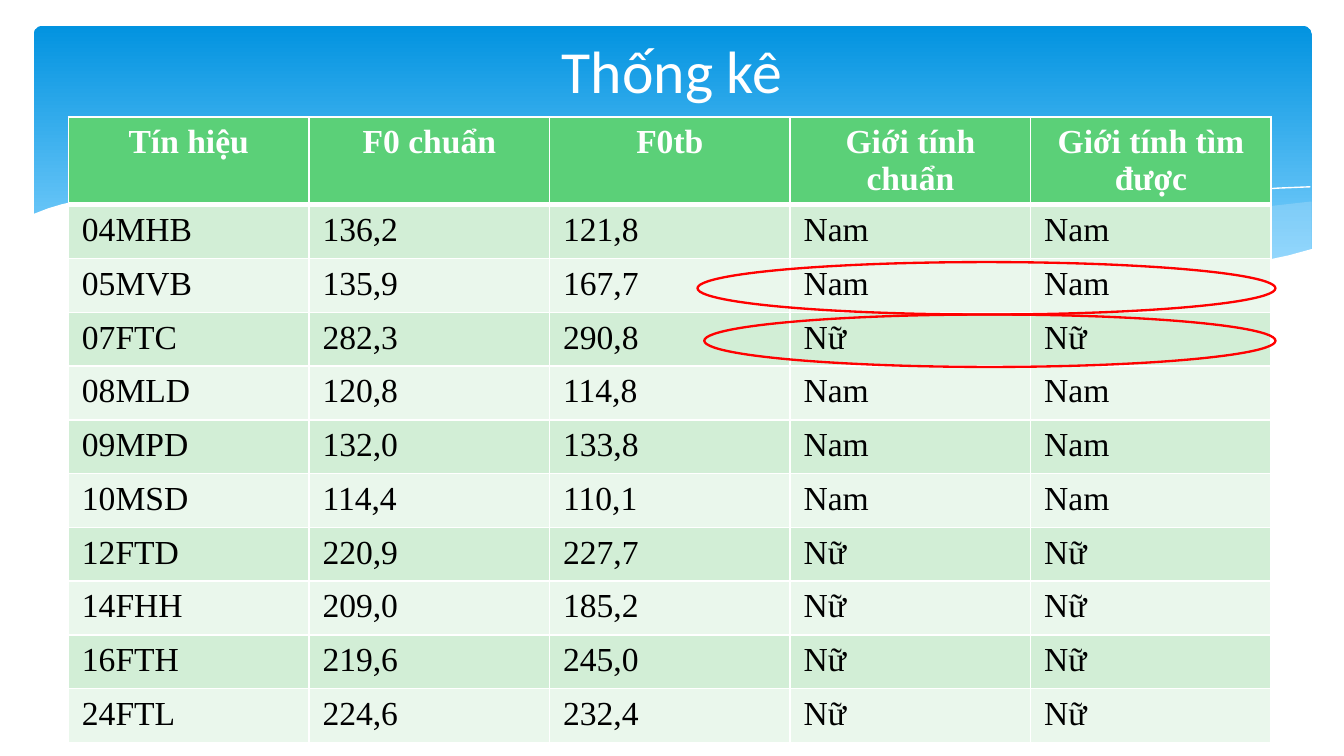
from lxml import etree
from pptx import Presentation
from pptx import util as u
from pptx.dml.color import RGBColor
from pptx.enum import shapes, text
from pptx.oxml import ns

COLORS = {
    "white": "FFFFFF", "black": "000000", "red": "FF0000",
    "sky_top": "0293E0", "sky_bottom": "83D3FE", "wave": "C6E7FC",
    "header": "5BD078", "odd": "D2EED6", "even": "EAF7EC",
}

# Wave outlines, in hundredths of an inch
RIGHT_WAVE = [
    (975, 150), (948, 153), (921, 157), (891, 162), (861, 167), (805, 177),
    (753, 186), (706, 193), (661, 199), (691, 202), (719, 204), (745, 206),
    (781, 208), (835, 208), (872, 206), (897, 203), (921, 199), (942, 194),
    (963, 189), (976, 185), (976, 150)]
LONG_WAVE = [
    (893, 204), (866, 202), (837, 199), (807, 195), (775, 191), (741, 186),
    (706, 180), (668, 173), (629, 166), (598, 161), (569, 156), (541, 152),
    (514, 148), (489, 146), (465, 143), (420, 140), (380, 139), (344, 139),
    (313, 141), (286, 144), (323, 147), (362, 152), (404, 158), (449, 166),
    (491, 174), (530, 180), (566, 186), (601, 191), (634, 196), (665, 200),
    (695, 203), (722, 205), (748, 207), (785, 208), (818, 209), (848, 208),
    (876, 206)]
LONG_LINE = [
    (309, 147), (328, 144), (353, 142), (387, 140), (433, 140), (469, 141),
    (510, 144), (556, 147), (608, 153), (665, 160), (727, 169), (795, 181),
    (869, 195), (907, 204)]
RIGHT_LINE = [
    (613, 192), (653, 185), (695, 177), (748, 167), (806, 158), (866, 149),
    (895, 145), (924, 142), (951, 140), (975, 139)]
LOWER_EDGE = [
    (977, 185), (959, 190), (940, 194), (920, 199), (899, 202), (875, 205),
    (850, 206), (823, 207), (793, 207), (761, 206), (726, 204), (688, 201),
    (648, 196), (603, 191), (555, 184), (503, 175), (447, 165), (391, 155),
    (340, 148), (292, 143), (250, 140), (211, 138), (177, 138), (146, 139),
    (119, 140), (95, 143), (76, 146), (59, 149), (46, 152), (36, 155),
    (23, 160), (23, 247), (977, 247)]

HEADINGS = ["Tín hiệu", "F0 chuẩn", "F0tb", "Giới tính chuẩn", "Giới tính tìm được"]
SIGNALS = [
    ("04MHB", "136,2", "121,8", "Nam"), ("05MVB", "135,9", "167,7", "Nam"),
    ("07FTC", "282,3", "290,8", "Nữ"), ("08MLD", "120,8", "114,8", "Nam"),
    ("09MPD", "132,0", "133,8", "Nam"), ("10MSD", "114,4", "110,1", "Nam"),
    ("12FTD", "220,9", "227,7", "Nữ"), ("14FHH", "209,0", "185,2", "Nữ"),
    ("16FTH", "219,6", "245,0", "Nữ"), ("24FTL", "224,6", "232,4", "Nữ"),
]


def rgb(name):
    """Return the named colour."""
    return RGBColor.from_string(COLORS[name])


class SlideBuilder:
    """Holds the style and the current slide."""

    def __init__(self, page):
        """Start drawing on the page."""
        self.page = page
        self.title_font, self.table_font = "Calibri", "Times New Roman"

    def style_font(self, para, name, size, color, bold=False):
        """Format all the text of a paragraph."""
        font = para.font
        font.name, font.size, font.bold = name, u.Pt(size), bold
        font.color.rgb = rgb(color)

    def banner(self, left, top, width, height):
        """Draw the rounded gradient banner."""
        box = self.page.shapes.add_shape(
            shapes.MSO_SHAPE.ROUNDED_RECTANGLE,
            u.Inches(left), u.Inches(top), u.Inches(width), u.Inches(height))
        box.adjustments[0] = 0.034
        box.shadow.inherit = False
        box.line.fill.background()
        box.fill.gradient()
        box.fill.gradient_angle = 270
        stops = box.fill.gradient_stops
        for stop, position, color in zip(stops, (0, 0.9), ("sky_top", "sky_bottom")):
            stop.position, stop.color.rgb = position, rgb(color)

    def wave(self, points, fill=None, opacity=100):
        """Draw a filled wave, or an open white line when there is no fill."""
        builder = self.page.shapes.build_freeform(*points[0], scale=u.Inches(0.01))
        builder.add_line_segments(points[1:], close=fill is not None)
        wave = builder.convert_to_shape()
        wave.shadow.inherit = False
        if fill is None:
            wave.fill.background()
            wave.line.color.rgb = rgb("white")
            wave.line.width = u.Pt(0)
            return
        wave.line.fill.background()
        wave.fill.solid()
        wave.fill.fore_color.rgb = rgb(fill)
        if opacity < 100:
            color = wave.element.spPr.find(ns.qn("a:solidFill"))[0]
            etree.SubElement(color, ns.qn("a:alpha")).set("val", str(opacity * 1000))

    def title(self, words, left, top, width, height):
        """Fill the title placeholder and bring it in front of the banner."""
        title = self.page.shapes.title
        title.left, title.top = u.Inches(left), u.Inches(top)
        title.width, title.height = u.Inches(width), u.Inches(height)
        title.text_frame.text = words
        title.text_frame.vertical_anchor = text.MSO_ANCHOR.MIDDLE
        para = title.text_frame.paragraphs[0]
        para.alignment = text.PP_ALIGN.CENTER
        self.style_font(para, self.title_font, 32, "white")
        title.element.getparent().append(title.element)

    def borders(self, cell, top, bottom):
        """Give a cell white borders, with top and bottom widths in points."""
        properties = cell._tc.get_or_add_tcPr()
        for side, width in (("L", 1), ("R", 1), ("T", top), ("B", bottom)):
            line = etree.SubElement(properties, ns.qn("a:ln" + side), w=str(u.Pt(width)))
            fill = etree.SubElement(line, ns.qn("a:solidFill"))
            etree.SubElement(fill, ns.qn("a:srgbClr"), val=COLORS["white"])

    def table(self, rows, left, top, width, height, row_height):
        """Draw a banded table; the header row grows to fit its text."""
        frame = self.page.shapes.add_table(
            len(rows), len(rows[0]), u.Inches(left), u.Inches(top),
            u.Inches(width), u.Inches(height))
        table = frame.table
        for r, row in enumerate(rows):
            header = r == 0
            table.rows[r].height = u.Inches(row_height)
            fill = "header" if header else ("odd" if r % 2 else "even")
            for c, words in enumerate(row):
                cell = table.cell(r, c)
                cell.text = words
                self.borders(cell, 3 if r == 1 else 1, 3 if header else 1)
                cell.fill.solid()
                cell.fill.fore_color.rgb = rgb(fill)
                para = cell.text_frame.paragraphs[0]
                if header:
                    para.alignment = text.PP_ALIGN.CENTER
                self.style_font(para, self.table_font, 18,
                                "white" if header else "black", header)
        frame.height = u.Inches(height)

    def ring(self, left, top, width, height):
        """Draw a red ellipse around part of a row."""
        ring = self.page.shapes.add_shape(
            shapes.MSO_SHAPE.OVAL,
            u.Inches(left), u.Inches(top), u.Inches(width), u.Inches(height))
        ring.shadow.inherit = False
        ring.fill.background()
        ring.line.color.rgb = rgb("red")
        ring.line.width = u.Pt(1.25)


def main():
    """Build the statistics slide."""
    deck = Presentation()
    deck.slide_width = u.Inches(10)
    deck.slide_height = deck.slide_width * 9 // 16
    slide = SlideBuilder(deck.slides.add_slide(deck.slide_layouts[5]))
    slide.banner(0.25, 0.19, 9.51, 2.02)
    slide.wave(RIGHT_WAVE, "wave", 29)
    slide.wave(LONG_WAVE, "wave", 40)
    slide.wave(LONG_LINE)
    slide.wave(RIGHT_LINE)
    slide.wave(LOWER_EDGE, "white")
    slide.title("Thống kê", 0.5, 0.12, 9, 0.8)
    # The gender found matches the reference gender for every signal
    rows = [HEADINGS] + [signal + signal[-1:] for signal in SIGNALS]
    slide.table(rows, 0.51, 0.87, 8.95, 4.7, 0.4)
    slide.ring(5.19, 1.95, 4.3, 0.39)
    slide.ring(5.24, 2.34, 4.25, 0.39)
    deck.save("out.pptx")


main()
